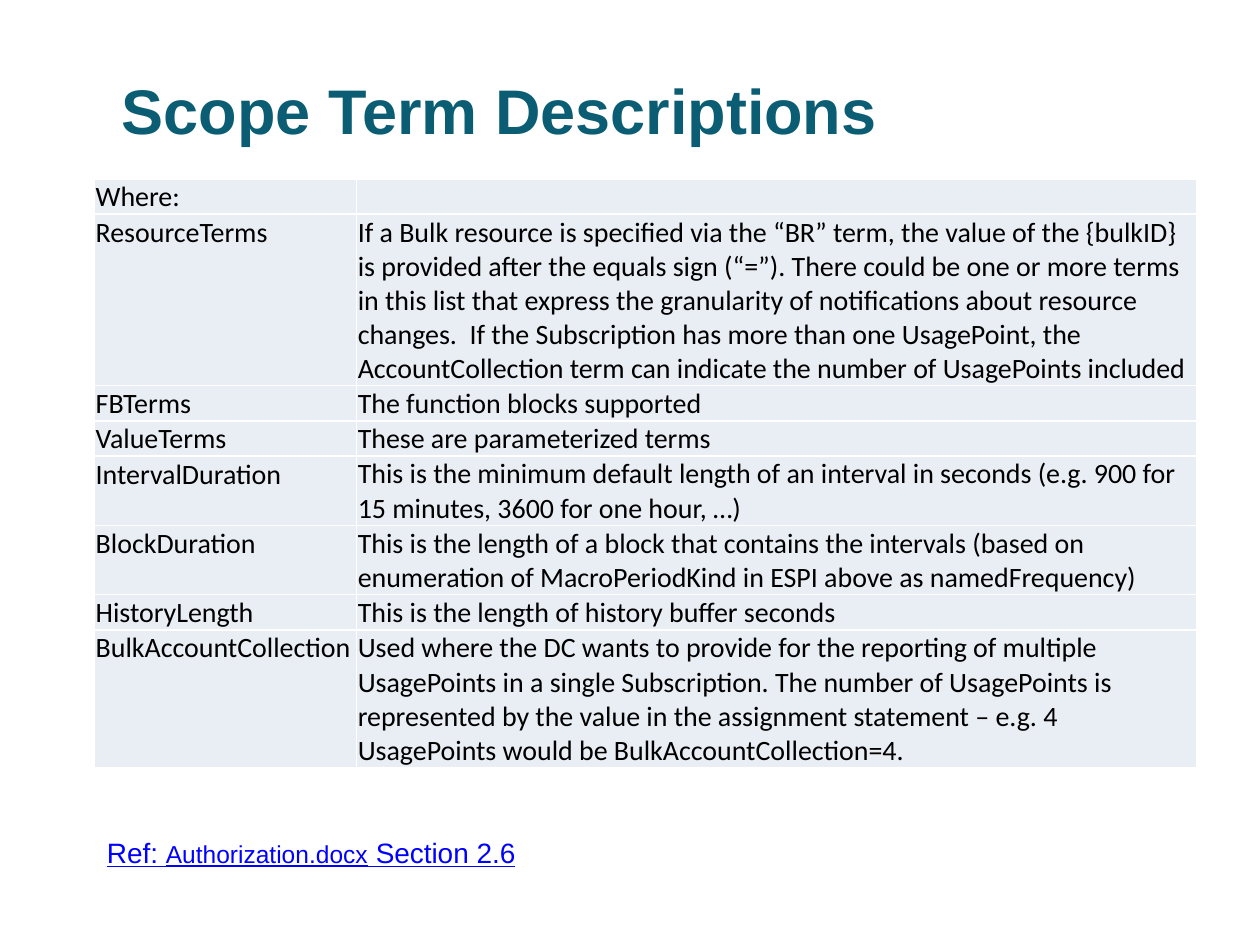
from dataclasses import dataclass

from lxml import etree
from pptx import Presentation
from pptx.dml.color import RGBColor
from pptx.enum import text as t
from pptx.oxml import ns
from pptx.util import Inches, Pt


@dataclass(frozen=True)
class Theme:
    heading: str = "0B5D73"
    body: str = "000000"
    link: str = "0000FF"
    cell: str = "E9EDF4"
    rule: str = "FFFFFF"
    heading_font: str = "Arial"
    table_font: str = "Calibri"
    heading_size: int = 36
    body_size: int = 16
    file_size: int = 14


THEME = Theme()

# Term, description, and the number of lines the row holds
TERMS = [
    ("Where:", "", 1),
    ("ResourceTerms",
     "If a Bulk resource is specified via the “BR” term, the value of the {bulkID} is "
     "provided after the equals sign (“=”). There could be one or more terms in this list "
     "that express the granularity of notifications about resource changes.  If the "
     "Subscription has more than one UsagePoint, the AccountCollection term can indicate "
     "the number of UsagePoints included", 5),
    ("FBTerms", "The function blocks supported", 1),
    ("ValueTerms", "These are parameterized terms", 1),
    ("IntervalDuration",
     "This is the minimum default length of an interval in seconds "
     "(e.g. 900 for 15 minutes, 3600 for one hour, …)", 2),
    ("BlockDuration",
     "This is the length of a block that contains the intervals (based on enumeration of "
     "MacroPeriodKind in ESPI above as namedFrequency)", 2),
    ("HistoryLength", "This is the length of history buffer seconds", 1),
    ("BulkAccountCollection",
     "Used where the DC wants to provide for the reporting of multiple UsagePoints in a "
     "single Subscription. The number of UsagePoints is represented by the value in the "
     "assignment statement – e.g. 4 UsagePoints would be BulkAccountCollection=4.", 4),
]


def write(paragraph, words, *, size=THEME.body_size, font=THEME.heading_font,
          color=THEME.body, bold=False, underline=False):
    """Append formatted words; an empty string only sets the line height."""
    if not words:
        etree.SubElement(paragraph._p, ns.qn("a:endParaRPr"), sz=str(size * 100))
        return
    run = paragraph.add_run()
    run.text = words
    run.font.size = Pt(size)
    run.font.name = font
    run.font.bold = bold
    run.font.underline = underline
    run.font.color.rgb = RGBColor.from_string(color)


def add_title(slide, left, top, width, height):
    frame = slide.shapes.add_textbox(left, top, width, height).text_frame
    frame.word_wrap = True
    frame.vertical_anchor = t.MSO_ANCHOR.MIDDLE
    write(frame.paragraphs[0], "Scope Term Descriptions",
          size=THEME.heading_size, color=THEME.heading, bold=True)


def style_cell(cell, anchor):
    cell.margin_left = cell.margin_right = cell.margin_top = Inches(0.01)
    cell.margin_bottom = 0
    cell.vertical_anchor = anchor
    properties = cell._tc.get_or_add_tcPr()
    for side in ("lnL", "lnR", "lnT", "lnB"):
        border = etree.SubElement(properties, ns.qn(f"a:{side}"), w=str(Pt(1)))
        fill = etree.SubElement(border, ns.qn("a:solidFill"))
        etree.SubElement(fill, ns.qn("a:srgbClr"), val=THEME.rule)
    cell.fill.solid()
    cell.fill.fore_color.rgb = RGBColor.from_string(THEME.cell)


def add_terms(slide, left, top, width, height):
    table = slide.shapes.add_table(len(TERMS), 2, left, top, width, height).table
    table.first_row = table.horz_banding = False
    term_width = Inches(2.08)
    table.columns[0].width = term_width
    table.columns[1].width = width - term_width
    for index, (term, description, lines) in enumerate(TERMS):
        table.rows[index].height = Inches(0.27 * lines + 0.01)
        term_anchor = t.MSO_ANCHOR.TOP if index else t.MSO_ANCHOR.BOTTOM
        entries = ((term, term_anchor), (description, t.MSO_ANCHOR.BOTTOM))
        for column, (words, anchor) in enumerate(entries):
            cell = table.cell(index, column)
            style_cell(cell, anchor)
            write(cell.text_frame.paragraphs[0], words, font=THEME.table_font)


def add_reference(slide, left, top, width, height):
    frame = slide.shapes.add_textbox(left, top, width, height).text_frame
    frame.word_wrap = False
    frame.auto_size = t.MSO_AUTO_SIZE.SHAPE_TO_FIT_TEXT
    for words, size in (("Ref: ", THEME.body_size),
                        ("Authorization.docx", THEME.file_size),
                        (" Section 2.6", THEME.body_size)):
        write(frame.paragraphs[0], words, size=size, color=THEME.link, underline=True)


def main():
    deck = Presentation()
    deck.slide_width, deck.slide_height = Inches(10), Inches(7.5)
    slide = deck.slides.add_slide(deck.slide_layouts[6])
    add_title(slide, Inches(0.87), Inches(0.24), Inches(8.73), Inches(1.25))
    add_terms(slide, Inches(0.75), Inches(1.42), Inches(8.75), Inches(4.62))
    add_reference(slide, Inches(0.75), Inches(6.58), Inches(3.48), Inches(0.37))
    deck.save("out.pptx")


if __name__ == "__main__":
    main()
